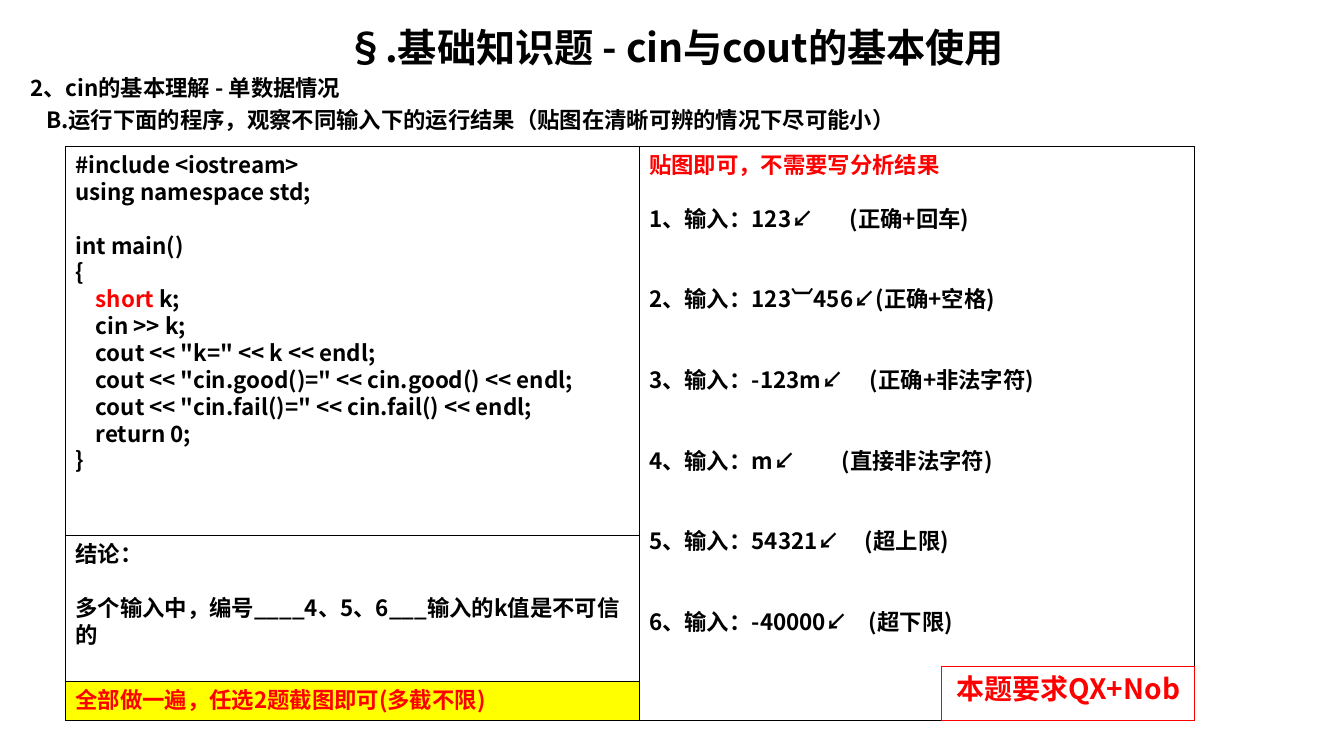
from lxml.etree import SubElement
from pptx import Presentation
from pptx.dml.color import RGBColor as RGB
from pptx.enum.shapes import MSO_SHAPE as SHAPE
from pptx.enum.text import MSO_ANCHOR as ANCHOR, PP_ALIGN as ALIGN
from pptx.oxml.ns import qn
from pptx.util import Inches, Pt

COLORS = {"ink": "000000", "alert": "FF0000", "highlight": "FFFF00"}
FONT = "Noto Sans CJK SC"
BODY = 16
LINE = 1.2 * BODY  # height of one body line in points

# Edges of the exercise grid, in inches
LEFT, MIDDLE, TAG_LEFT, RIGHT = 0.65, 6.34, 9.34, 11.85
TOP, CONCLUSION_TOP, TAG_TOP, NOTE_TOP, BOTTOM = 1.45, 5.31, 6.61, 6.76, 7.15

HEADINGS = [
    "2、cin的基本理解 - 单数据情况",
    "B.运行下面的程序，观察不同输入下的运行结果（贴图在清晰可辨的情况下尽可能小）",
]
CODE_HEAD = ["#include <iostream>", "using namespace std;"]
CODE_MAIN = [
    "int main()",
    "{",
    [("    ", "ink"), ("short ", "alert"), ("k;", "ink")],
    "    cin >> k;",
    '    cout << "k=" << k << endl;',
    '    cout << "cin.good()=" << cin.good() << endl;',
    '    cout << "cin.fail()=" << cin.fail() << endl;',
    "    return 0;",
    "}",
]
# Input, remark, and the tab position of the remark (None: no gap)
TRIALS = [
    ("123↙", "(正确+回车)", 1.99),
    ("123︺456↙", "(正确+空格)", None),
    ("-123m↙", "(正确+非法字符)", 2.19),
    ("m↙", "(直接非法字符)", 1.91),
    ("54321↙", "(超上限)", 2.14),
    ("-40000↙", "(超下限)", 2.18),
]


def set_font(font, size, color):
    font.name, font.size, font.bold = FONT, Pt(size), True
    if color:
        font.color.rgb = RGB.from_string(COLORS[color])
    for tag in ("a:ea", "a:cs"):
        SubElement(font._element, qn(tag)).set("typeface", FONT)


def add_line(frame, content, color="ink", size=BODY, before=0, align=ALIGN.LEFT,
             tab=None, indent=0):
    """Append a paragraph; content is a string or a list of (text, color) runs."""
    first = frame.paragraphs[0]
    line = first if not first.runs else frame.add_paragraph()
    line.alignment = align
    if before:
        line.space_before = Pt(before)
    properties = line._p.get_or_add_pPr()
    if indent:
        properties.set("marL", str(Inches(indent)))
        properties.set("indent", "0")
    if tab:
        stops = SubElement(properties, qn("a:tabLst"))
        SubElement(stops, qn("a:tab"), pos=str(Inches(tab)), algn="l")
    if isinstance(content, str):
        line.add_run().text = content
        set_font(line.font, size, color)
    else:
        set_font(line.font, size, None)
        for text, run_color in content:
            run = line.add_run()
            run.text = text
            run.font.color.rgb = RGB.from_string(COLORS[run_color])


def add_panel(slide, left, top, right, bottom, border="ink", fill=None):
    panel = slide.shapes.add_shape(SHAPE.RECTANGLE, Inches(left), Inches(top),
                                   Inches(right - left), Inches(bottom - top))
    panel.shadow.inherit = False
    if fill:
        panel.fill.solid()
        panel.fill.fore_color.rgb = RGB.from_string(COLORS[fill])
    else:
        panel.fill.background()
    panel.line.color.rgb = RGB.from_string(COLORS[border])
    panel.line.width = Pt(0.75)
    panel.text_frame.vertical_anchor = ANCHOR.TOP
    panel.text_frame.word_wrap = True
    return panel.text_frame


def add_headings(slide):
    title = slide.shapes.title
    title.left, title.top = Inches(0.2), Inches(0.18)
    title.width, title.height = Inches(12.99), Inches(0.56)
    title.text_frame.vertical_anchor = ANCHOR.TOP
    add_line(title.text_frame, "§.基础知识题 - cin与cout的基本使用", size=28, align=ALIGN.CENTER)

    box = slide.shapes.add_textbox(Inches(0.2), Inches(0.69), Inches(12.99), Inches(0.7))
    box.text_frame.word_wrap = True
    section, task = HEADINGS
    add_line(box.text_frame, section)
    add_line(box.text_frame, task, before=0.2 * BODY, indent=0.16)


def add_program(slide):
    program = add_panel(slide, LEFT, TOP, MIDDLE, BOTTOM)
    for code in CODE_HEAD:
        add_line(program, code)
    for row, code in enumerate(CODE_MAIN):
        add_line(program, code, before=0 if row else LINE)


def add_trials(slide):
    trials = add_panel(slide, MIDDLE, TOP, RIGHT, BOTTOM)
    add_line(trials, "贴图即可，不需要写分析结果", "alert")
    for number, (keys, remark, tab) in enumerate(TRIALS, 1):
        gap = "\t" if tab else ""
        add_line(trials, f"{number}、输入：{keys}{gap}{remark}", tab=tab,
                 before=LINE if number == 1 else 2 * LINE)


def main():
    deck = Presentation()
    deck.slide_width, deck.slide_height = Inches(13.33), Inches(7.5)
    slide = deck.slides.add_slide(deck.slide_layouts[5])

    add_headings(slide)
    add_program(slide)
    add_trials(slide)
    tag = add_panel(slide, TAG_LEFT, TAG_TOP, RIGHT, BOTTOM, border="alert")
    add_line(tag, "本题要求QX+Nob", "alert", size=20, align=ALIGN.CENTER)
    conclusion = add_panel(slide, LEFT, CONCLUSION_TOP, MIDDLE, BOTTOM)
    add_line(conclusion, "结论：")
    add_line(conclusion, "多个输入中，编号____4、5、6___输入的k值是不可信的", before=LINE)
    note = add_panel(slide, LEFT, NOTE_TOP, MIDDLE, BOTTOM, fill="highlight")
    add_line(note, "全部做一遍，任选2题截图即可(多截不限)", "alert")

    deck.save("out.pptx")


if __name__ == "__main__":
    main()
